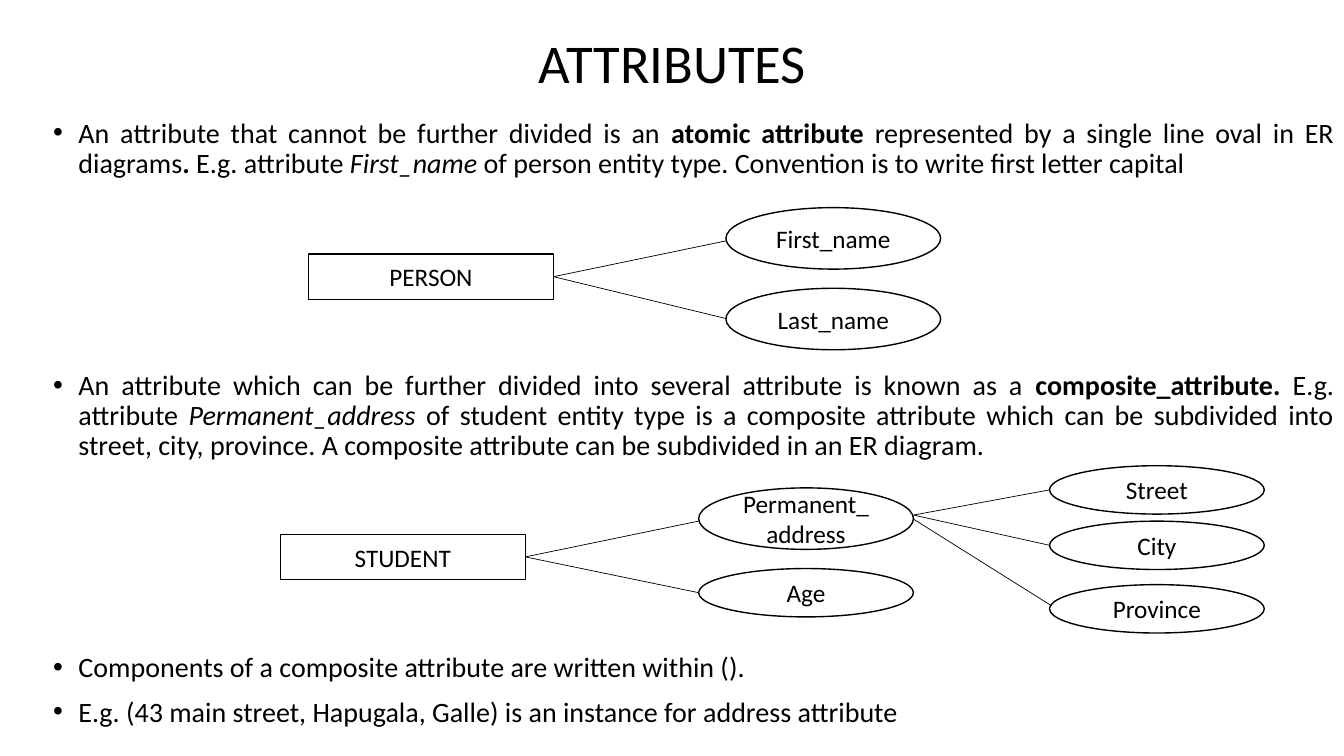
"""Build the slide on atomic and composite attributes in ER diagrams."""
from dataclasses import dataclass

from lxml import etree
from pptx import Presentation
from pptx import util as u
from pptx.dml.color import RGBColor
from pptx.enum import shapes, text
from pptx.oxml import ns
from pptx.shapes.autoshape import Shape
from pptx.shapes.group import GroupShape
from pptx.slide import Slide

BLACK = RGBColor(0, 0, 0)
WHITE = RGBColor(255, 255, 255)
FONT = "Calibri"
ENTITY_SIZE = (2.43, 0.45)
OVAL_WIDTH = 2.13
TALL, SHORT = 0.61, 0.48
DIAGRAM_GAP = 137
BULLET_GAP = 10


@dataclass(frozen=True)
class Span:
    text: str
    bold: bool = False
    italic: bool = False


@dataclass(frozen=True)
class Bullet:
    spans: tuple[Span, ...]
    space_before: float


@dataclass(frozen=True)
class Oval:
    label: str
    left: float
    top: float
    height: float
    link_y: float


@dataclass(frozen=True)
class Component:
    label: str
    top: float
    start_y: float
    end: tuple[float, float]


@dataclass(frozen=True)
class Diagram:
    entity: str
    left: float
    top: float
    attributes: tuple[Oval, ...]
    components: tuple[Component, ...] = ()


BULLETS = (
    Bullet((
        Span("An attribute that cannot be further divided is an "),
        Span("atomic attribute ", bold=True),
        Span("represented by a single line oval in ER diagrams"),
        Span(". ", bold=True),
        Span("E.g. attribute "),
        Span("First_name ", italic=True),
        Span("of person entity type. Convention is to write first letter capital"),
    ), 0),
    Bullet((
        Span("An attribute which can be further divided into several attribute is known as a "),
        Span("composite_attribute. ", bold=True),
        Span("E.g. attribute "),
        Span("Permanent_address ", italic=True),
        Span("of student entity type is a composite attribute which can be subdivided into "
             "street, city, province. A composite attribute can be subdivided in an ER diagram."),
    ), DIAGRAM_GAP),
    Bullet((Span("Components of a composite attribute are written within ()."),), DIAGRAM_GAP),
    Bullet((Span("E.g. (43 main street, Hapugala, Galle) is an instance for address attribute"),),
           BULLET_GAP),
)

COMPONENTS_LEFT = 10.41
DIAGRAMS = (
    Diagram("PERSON", 3.06, 2.52, (
        Oval("First_name", 7.2, 2.06, TALL, 2.39),
        Oval("Last_name", 7.2, 2.86, TALL, 3.16),
    )),
    Diagram("STUDENT", 2.78, 5.3, (
        Oval("Permanent_address", 6.93, 4.84, TALL, 5.17),
        Oval("Age", 6.93, 5.64, SHORT, 5.88),
    ), (
        Component("Street", 4.62, 5.11, (COMPONENTS_LEFT, 4.86)),
        Component("City", 5.17, 5.11, (COMPONENTS_LEFT, 5.41)),
        Component("Province", 5.8, 5.15, (10.43, 6.01)),
    )),
)


def add_title(slide: Slide, title: str) -> None:
    """Add the centred slide title."""
    box = slide.shapes.add_textbox(u.Inches(1.17), u.Inches(0.19), u.Inches(11), u.Inches(0.93))
    frame = box.text_frame
    frame.word_wrap = True
    frame.vertical_anchor = text.MSO_ANCHOR.MIDDLE
    frame.text = title
    paragraph = frame.paragraphs[0]
    paragraph.alignment = text.PP_ALIGN.CENTER
    paragraph.line_spacing = 0.9
    font = paragraph.runs[0].font
    font.name, font.size, font.color.rgb = FONT, u.Pt(39), BLACK


def add_bullets(slide: Slide, bullets: tuple[Bullet, ...]) -> None:
    """Add the justified bullet text, leaving room for the diagrams."""
    box = slide.shapes.add_textbox(u.Inches(0.43), u.Inches(1.13), u.Inches(12.9), u.Inches(6.37))
    frame = box.text_frame
    frame.word_wrap = True
    for index, bullet in enumerate(bullets):
        paragraph = frame.add_paragraph() if index else frame.paragraphs[0]
        properties = paragraph._p.get_or_add_pPr()
        properties.set("marL", str(u.Inches(0.25)))
        properties.set("indent", str(u.Inches(-0.25)))
        etree.SubElement(properties, ns.qn("a:buFont"), typeface="Arial")
        etree.SubElement(properties, ns.qn("a:buChar"), char="•")
        paragraph.alignment = text.PP_ALIGN.JUSTIFY
        paragraph.line_spacing = 0.9
        paragraph.space_before = u.Pt(bullet.space_before)
        for span in bullet.spans:
            run = paragraph.add_run()
            run.text = span.text
            font = run.font
            font.name, font.size, font.color.rgb = FONT, u.Pt(20), BLACK
            font.bold, font.italic = span.bold, span.italic


def add_node(group: GroupShape, kind: shapes.MSO_SHAPE, label: str,
             left: float, top: float, width: float, height: float) -> Shape:
    """Add one outlined, labelled shape to a diagram."""
    shape = group.shapes.add_shape(kind, u.Inches(left), u.Inches(top),
                                   u.Inches(width), u.Inches(height))
    shape.shadow.inherit = False
    shape.fill.solid()
    shape.fill.fore_color.rgb = WHITE
    shape.line.color.rgb = BLACK
    shape.line.width = u.Pt(1)
    frame = shape.text_frame
    frame.word_wrap = True
    frame.vertical_anchor = text.MSO_ANCHOR.MIDDLE
    frame.text = label
    paragraph = frame.paragraphs[0]
    paragraph.alignment = text.PP_ALIGN.CENTER
    font = paragraph.runs[0].font
    font.name, font.size, font.color.rgb = FONT, u.Pt(18), BLACK
    return shape


def add_link(group: GroupShape, start: tuple[float, float], end: tuple[float, float],
             entity: Shape | None = None) -> None:
    """Add a thin line, joined to the entity's right side if one is given."""
    connector = group.shapes.add_connector(
        shapes.MSO_CONNECTOR.STRAIGHT, *(u.Inches(value) for value in (*start, *end)))
    connector.line.color.rgb = BLACK
    connector.line.width = u.Pt(0.5)
    etree.SubElement(connector._element.spPr, ns.qn("a:effectLst"))
    if entity is not None:
        connector.begin_connect(entity, 3)


def add_diagram(slide: Slide, diagram: Diagram) -> None:
    """Add an entity with its attributes and their components."""
    group = slide.shapes.add_group_shape()
    width, height = ENTITY_SIZE
    entity = add_node(group, shapes.MSO_SHAPE.RECTANGLE, diagram.entity,
                      diagram.left, diagram.top, width, height)
    start = (diagram.left + width, diagram.top + height / 2)
    for oval in diagram.attributes:
        add_node(group, shapes.MSO_SHAPE.OVAL, oval.label,
                 oval.left, oval.top, OVAL_WIDTH, oval.height)
        add_link(group, start, (oval.left, oval.link_y), entity)
    composite_right = diagram.attributes[0].left + OVAL_WIDTH
    for component in diagram.components:
        add_node(group, shapes.MSO_SHAPE.OVAL, component.label,
                 COMPONENTS_LEFT, component.top, OVAL_WIDTH, SHORT)
        add_link(group, (composite_right, component.start_y), component.end)


def main() -> None:
    """Build and save the presentation."""
    presentation = Presentation()
    presentation.slide_width = u.Inches(13.33)
    presentation.slide_height = u.Inches(7.5)
    slide = presentation.slides.add_slide(presentation.slide_layouts[6])
    add_title(slide, "ATTRIBUTES")
    add_bullets(slide, BULLETS)
    for diagram in DIAGRAMS:
        add_diagram(slide, diagram)
    presentation.save("out.pptx")


if __name__ == "__main__":
    main()
